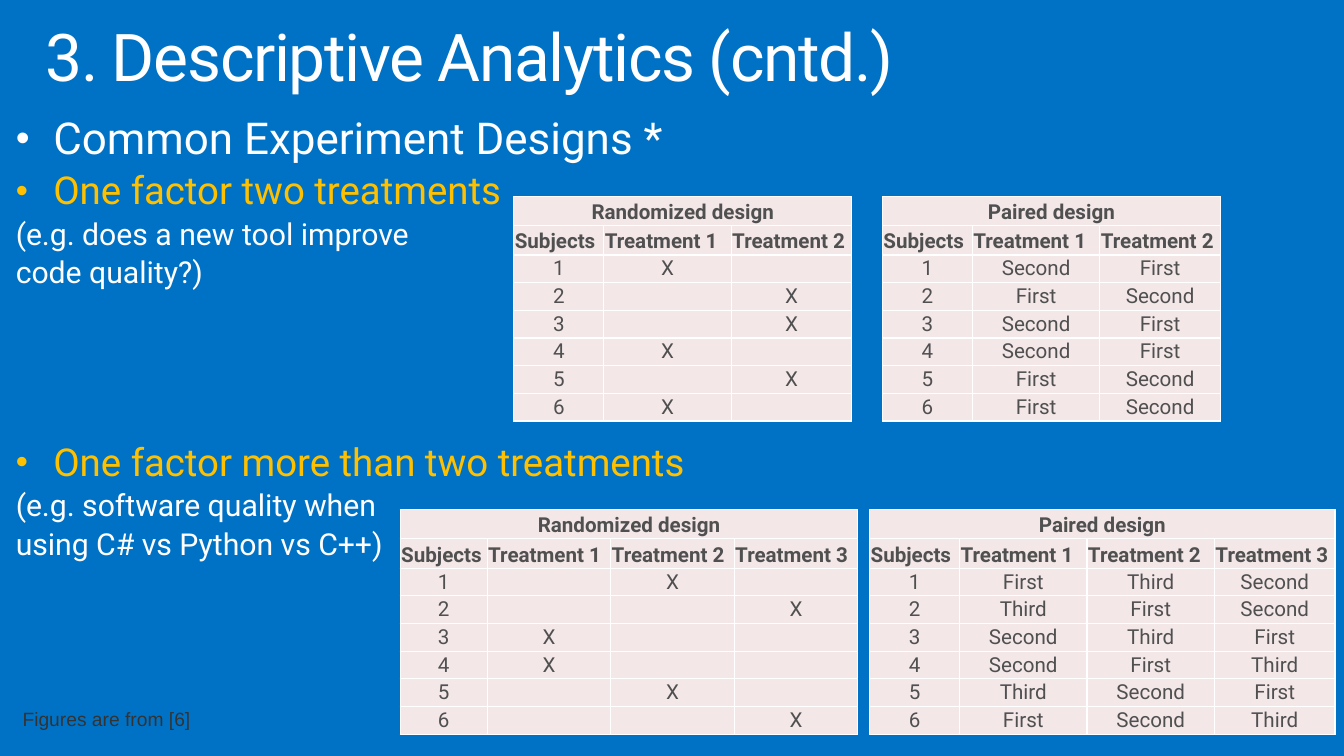
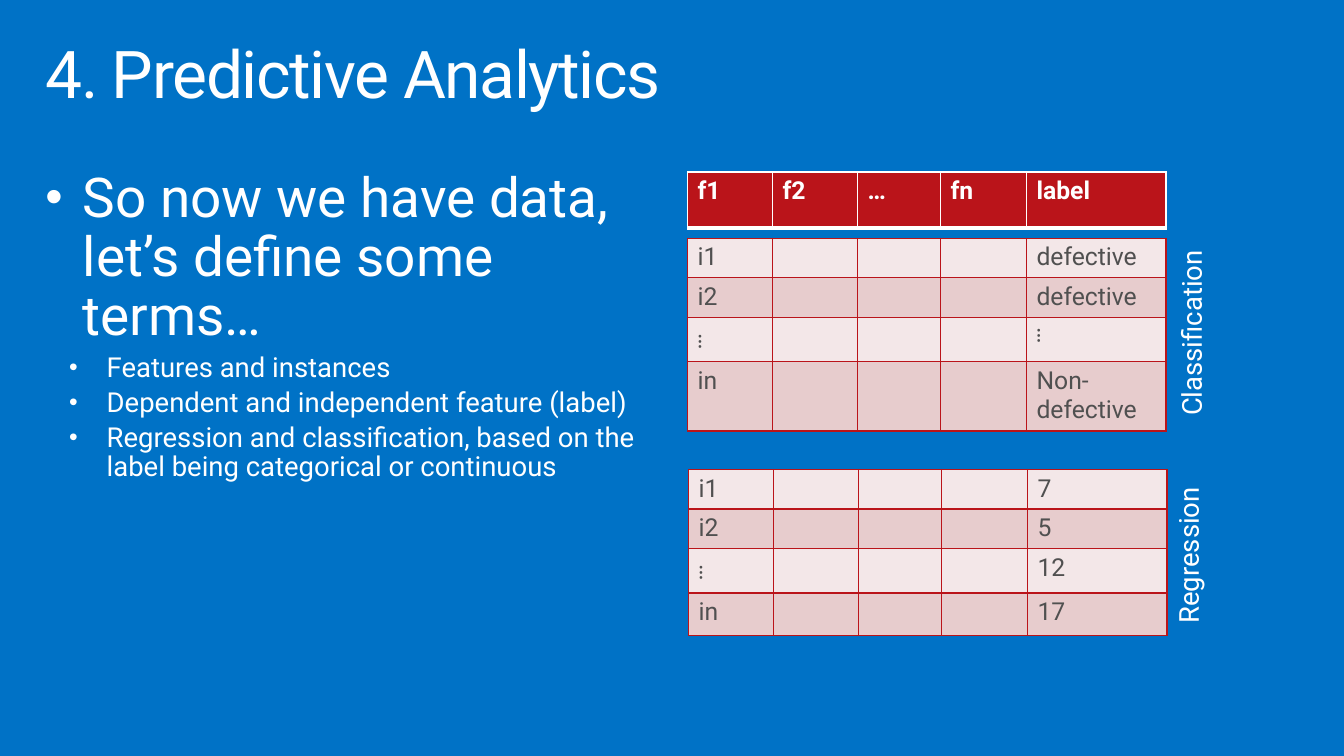
import pptx
import pptx.util
import pptx.dml.color
import pptx.enum.text
import pptx.oxml.ns
import lxml.etree

hues = {"back": "0072C6", "white": "FFFFFF", "gold": "FFC000", "note": "333333",
        "text": "505050", "red": "BA141A", "pale": "F3E7E8", "pink": "E7CCCD"}
tint = {name: pptx.dml.color.RGBColor.from_string(code) for name, code in hues.items()}
face = "Roboto"
Pt = pptx.util.Pt
qn = pptx.oxml.ns.qn
mid = pptx.enum.text.MSO_ANCHOR.MIDDLE
low = pptx.enum.text.MSO_ANCHOR.BOTTOM
mean = pptx.enum.text.PP_ALIGN.CENTER

deck = pptx.Presentation()
deck.slide_width = pptx.util.Inches(13.6)
deck.slide_height = pptx.util.Inches(7.65)
col = deck.slide_width / 136
row = deck.slide_height / 76.5


def write(page, spot, lines, lead=0.9, pad=(1.6, 1)):
    x, y, w, h = spot
    box = page.shapes.add_textbox(int(x * col), int(y * row), int(w * col), int(h * row))
    frame = box.text_frame
    frame.word_wrap = True
    frame.margin_left = frame.margin_right = int(pad[0] * col)
    frame.margin_top = frame.margin_bottom = int(pad[1] * row)
    for at, (text, size, tone, dent, gap) in enumerate(lines):
        para = frame.paragraphs[0] if at == 0 else frame.add_paragraph()
        para.text = text
        para.line_spacing = lead
        if at:
            para.space_before = Pt(gap)
        if dent:
            prop = para._p.get_or_add_pPr()
            prop.set("marL", str(int(dent * col)))
            prop.set("indent", str(int(-3.8 * col)))
            lxml.etree.SubElement(prop, qn("a:buSzPct"), val="90000")
            lxml.etree.SubElement(prop, qn("a:buFont"), typeface="Arial")
            lxml.etree.SubElement(prop, qn("a:buChar"), char="•")
        para.font.name = face
        para.font.size = Pt(size)
        para.font.color.rgb = tint[tone]
    return frame


def grid(page, x, y, wide, tall, cells, fills, tone, size, edge, base=1, pad=None):
    item = page.shapes.add_table(len(tall), len(wide), int(x * col), int(y * row),
                                 int(sum(wide) * col), int(sum(tall) * row))
    table = item.table
    table.first_row = table.horz_banding = False
    for part, width in zip(table.columns, wide):
        part.width = int(width * col)
    for part, height in zip(table.rows, tall):
        part.height = int(height * row)
    for r, texts in enumerate(cells):
        for c, text in enumerate(texts):
            cell = table.cell(r, c)
            cell.fill.solid()
            cell.fill.fore_color.rgb = tint[fills[r % len(fills)]]
            if pad:
                cell.margin_left = cell.margin_right = int(pad * col)
                cell.margin_top = cell.margin_bottom = int(pad * row)
            prop = cell._tc.get_or_add_tcPr()
            for at, side in enumerate("LRTB"):
                line = lxml.etree.Element(qn("a:ln" + side), w=str(Pt(base if side == "B" else 1)))
                fill = lxml.etree.SubElement(line, qn("a:solidFill"))
                lxml.etree.SubElement(fill, qn("a:srgbClr"), val=hues[edge])
                prop.insert(at, line)
            para = cell.text_frame.paragraphs[0]
            if text:
                para.text = text
            else:
                lxml.etree.SubElement(para._p, qn("a:endParaRPr"), sz=str(size * 100))
            para.font.name = face
            para.font.size = Pt(size)
            para.font.color.rgb = tint[tone]
    return table


pages = []
for title, top in [("3. Descriptive Analytics (cntd.)", 1.5), ("4. Predictive Analytics", 3.2)]:
    page = deck.slides.add_slide(deck.slide_layouts[6])
    page.background.fill.solid()
    page.background.fill.fore_color.rgb = tint["back"]
    frame = write(page, (3, top, 130, 10), [(title, 48, "white", 0, 0)])
    frame.paragraphs[0].runs[0]._r.get_or_add_rPr().set("spc", "-100")
    pages.append(page)
first, last = pages

write(first, (0, 10.8, 130, 59.4), [
    ("Common Experiment Designs *", 32, "white", 3.8, 0),
    ("One factor two treatments", 28, "gold", 3.8, 5.6),
    ("(e.g. does a new tool improve", 22, "white", 0, 4.4),
    ("code quality?)", 22, "white", 0, 4.4),
    ("One factor more than two treatments", 28, "gold", 3.8, 111),
    ("(e.g. software quality when", 22, "white", 0, 4.4),
    ("using C# vs Python vs C++)", 22, "white", 0, 4.4)])

words = {"1": "First", "2": "Second", "3": "Third", "x": "X", "-": ""}
plans = [
    ("Randomized design", 52, 19.9, [9.1, 12.9, 12.2], "x- -x -x x- -x x-"),
    ("Paired design", 89.3, 19.9, [9.1, 12.9, 12.2], "21 12 21 21 12 12"),
    ("Randomized design", 40.5, 51.6, [8.8, 12.5, 12.5, 12.5], "-x- --x x-- x-- -x- --x"),
    ("Paired design", 88, 51.6, [9.1, 12.9, 12.9, 12.2], "132 312 231 213 321 123")]
for name, x, y, wide, codes in plans:
    count = len(wide)
    cells = [[name] + [""] * (count - 1),
             ["Subjects"] + [f"Treatment {n}" for n in range(1, count)]]
    for n, code in enumerate(codes.split(), 1):
        cells.append([str(n)] + [words[mark] for mark in code])
    table = grid(first, x, y, wide, [2.9, 3] + [2.8] * 6, cells,
                 ["pale"], "text", 15, "white", pad=0.1)
    table.cell(0, 0).merge(table.cell(0, count - 1))
    for r in range(len(cells)):
        for c in range(count):
            cell = table.cell(r, c)
            cell.vertical_anchor = low if r < 2 else mid
            para = cell.text_frame.paragraphs[0]
            para.font.bold = r < 2
            if r != 1:
                para.alignment = mean

note = write(first, (1.3, 71.1, 21.7, 3.4), [("Figures are from [6]", 14, "note", 0, 0)],
             lead=1, pad=(1, 0.5))
note.paragraphs[0].font.name = "Arial"

write(last, (3, 16.2, 66.7, 28.3), [
    ("So now we have data, let’s define some terms…", 40, "white", 3.8, 0),
    ("Features and instances", 20, "white", 6.2, 4),
    ("Dependent and independent feature (label)", 20, "white", 6.2, 4),
    ("Regression and classification, based on the label being categorical or continuous",
     20, "white", 6.2, 4)])

wide = [8.6, 8.6, 8.4, 8.7, 14.1]
head = grid(last, 69.6, 17.4, wide, [5.7], [["f1", "f2", "…", "fn", "label"]],
            ["red"], "white", 18, "white", base=3)
for cell in head.iter_cells():
    cell.text_frame.paragraphs[0].font.bold = True

kinds = [
    ("Regression", 69.7, 47.5, 117.7, 46.6, ["7", "5", "12", "17"]),
    ("Classification", 69.6, 24.1, 118, 24.1, ["defective", "defective", "…", "Non-defective"])]
for name, x, y, left, top, tags in kinds:
    cells = [[key, "", "", "", tag] for key, tag in zip(["i1", "i2", " …", "in"], tags)]
    table = grid(last, x, y, wide, [3.4, 3.4, 4.5, 4.3], cells,
                 ["pale", "pink"], "text", 18, "red")
    for cell in table.iter_cells():
        if "…" in cell.text:
            cell._tc.get_or_add_tcPr().set("vert", "vert")
    if tags[2] == "…":
        table.cell(2, 4).vertical_anchor = mid
    frame = write(last, (left, top, 5, 19.2), [(name, 20, "white", 0, 0)], lead=1, pad=(0, 0.5))
    frame.vertical_anchor = mid
    frame.paragraphs[0].alignment = mean
    frame._txBody.bodyPr.set("vert", "vert270")

deck.save("out.pptx")
